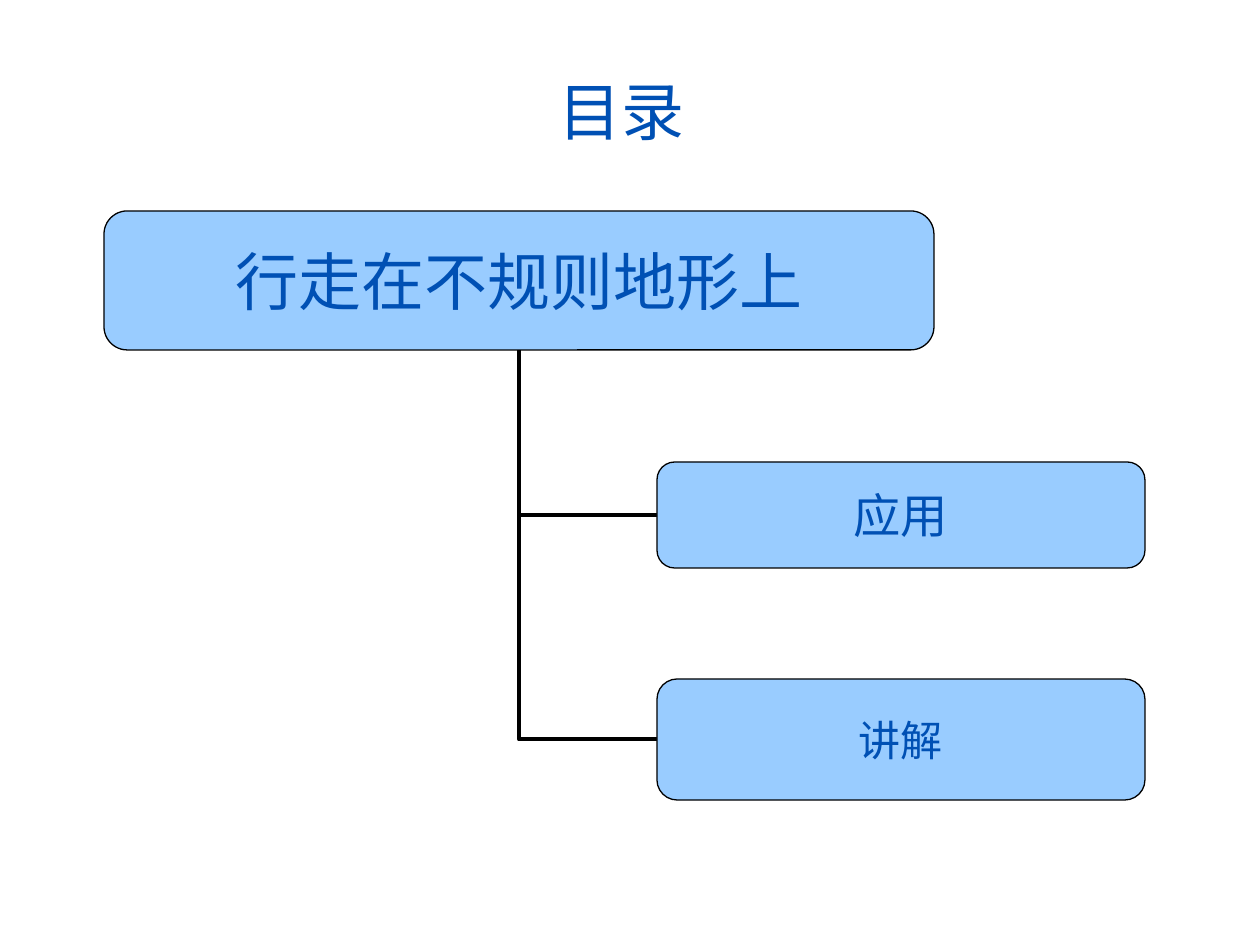
import pptx
import pptx.util
import pptx.dml.color
import pptx.enum.shapes
import pptx.enum.text
import pptx.oxml.ns
import lxml.etree

SCALE = 914400 / 126
INK = "0050B4"
FILL = "99CCFF"
LINE = "000000"


def px(*nums):
    return [pptx.util.Emu(round(num * SCALE)) for num in nums]


def color(code):
    return pptx.dml.color.RGBColor.from_string(code)


def write(frame, text, size):
    para = frame.paragraphs[0]
    para.text = text
    para.alignment = pptx.enum.text.PP_ALIGN.CENTER
    para.font.name = "Arial"
    para.font.size = pptx.util.Pt(size)
    para.font.color.rgb = color(INK)


def title(slide, box, text):
    frame = slide.shapes.add_textbox(*px(*box)).text_frame
    frame.word_wrap = True
    write(frame, text, 36)


def node(slide, box, text, size):
    shape = slide.shapes.add_shape(
        pptx.enum.shapes.MSO_SHAPE.ROUNDED_RECTANGLE, *px(*box))
    shape.shadow.inherit = False
    shape.fill.solid()
    shape.fill.fore_color.rgb = color(FILL)
    shape.line.color.rgb = color(LINE)
    shape.line.width = pptx.util.Pt(0.75)
    frame = shape.text_frame
    frame.margin_left = frame.margin_right = 0
    frame.margin_top = frame.margin_bottom = 0
    frame.word_wrap = False
    frame.vertical_anchor = pptx.enum.text.MSO_ANCHOR.MIDDLE
    write(frame, text, size)
    return shape


def wire(slide, start, end):
    link = slide.shapes.add_connector(
        pptx.enum.shapes.MSO_CONNECTOR.ELBOW, *px(*start, *end))
    link.line.color.rgb = color(LINE)
    link.line.width = pptx.util.Pt(2.25)
    props = link._element.spPr
    props.find(pptx.oxml.ns.qn("a:prstGeom")).set("prst", "bentConnector2")
    lxml.etree.SubElement(props, pptx.oxml.ns.qn("a:effectLst"))
    return link


def tree(slide, box, root, leaves):
    left, top, width, height = box
    wide, tall, leaf = 830, 139, 488
    edge = left + width - leaf
    foot = (left + wide / 2, top + tall)
    links = [wire(slide, (edge, top + drop + high / 2), foot)
             for text, size, drop, high in reversed(leaves)]
    head = node(slide, (left, top, wide, tall), root, 36)
    for link, (text, size, drop, high) in zip(reversed(links), leaves):
        child = node(slide, (edge, top + drop, leaf, high), text, size)
        link.begin_connect(child, 1)
        link.end_connect(head, 2)


def main():
    deck = pptx.Presentation()
    deck.slide_width, deck.slide_height = px(1260, 945)
    slide = deck.slides.add_slide(deck.slide_layouts[6])
    title(slide, (402, 66, 440, 88), "目录")
    tree(slide, (104, 211, 1041, 589), "行走在不规则地形上",
         [("应用", 27, 251, 106), ("讲解", 24, 468, 121)])
    deck.save("out.pptx")


if __name__ == "__main__":
    main()
